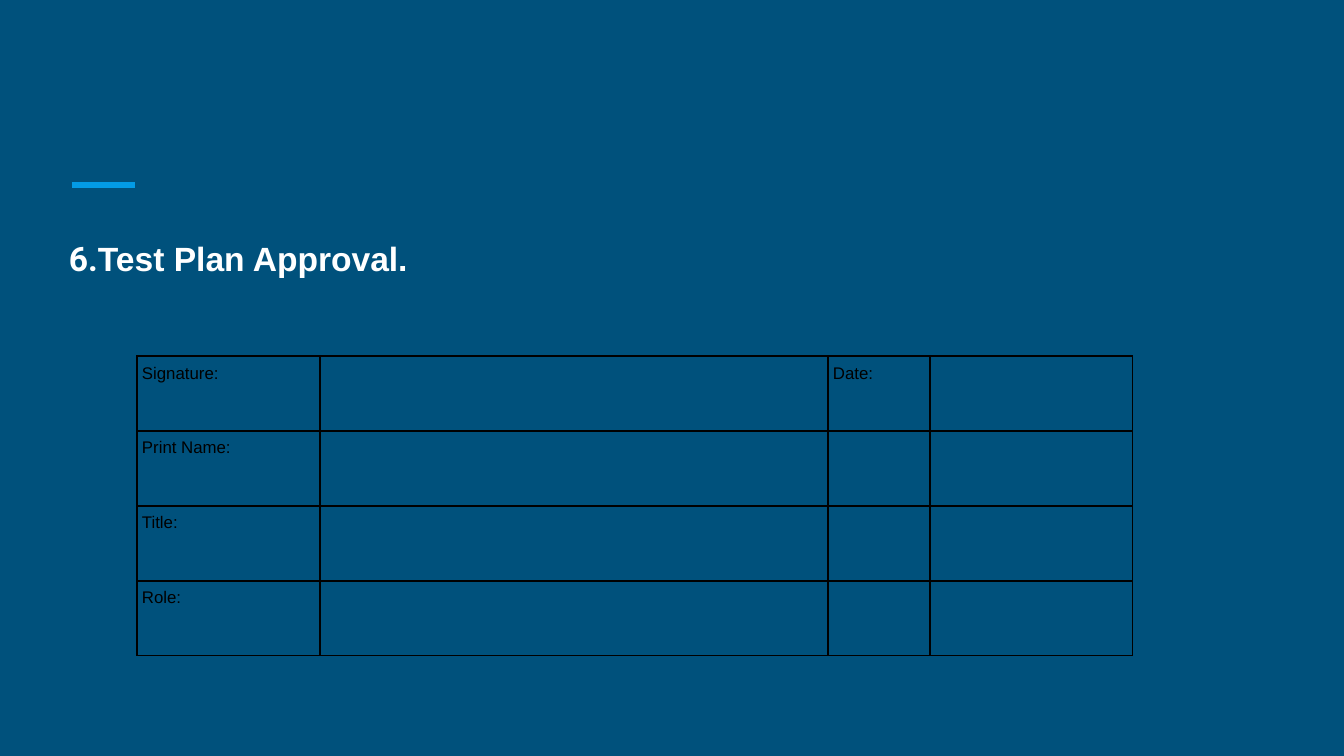
"""Build the test plan approval slide with its sign-off table."""
from lxml import etree
from pptx import Presentation
from pptx.dml.color import RGBColor
from pptx.enum.shapes import MSO_CONNECTOR
from pptx.enum.text import PP_ALIGN
from pptx.oxml.ns import qn
from pptx.util import Emu, Pt

STRAIGHT = MSO_CONNECTOR.STRAIGHT
LEFT, JUSTIFY = PP_ALIGN.LEFT, PP_ALIGN.JUSTIFY

COLORS = {"background": "00517C", "accent": "039BE5", "title": "FFFFFF", "ink": "000000"}
TITLE = [("6.", "Roboto"), ("Test Plan Approval.", "Arial")]
APPROVAL_ROWS = [
    ("Signature:", "", "Date:", ""),
    ("Print Name:", "", "", ""),
    ("Title:", "", "", ""),
    ("Role:", "", "", ""),
]
COLUMN_WIDTHS = (183, 508, 102, 203)
COLUMN_STYLES = {0: (JUSTIFY, 1), 2: (LEFT, 2)}
ROW_HEIGHT = 75
CELL_MARGIN = 5


def px(length):
    return Emu(round(length * 914400 / 134.4))


def rgb(name):
    return RGBColor.from_string(COLORS[name])


def style_run(run, font, size, color, bold=False):
    run.font.name = font
    run.font.size = Pt(size)
    run.font.bold = bold
    run.font.color.rgb = rgb(color)


def add_accent(slide):
    accent = slide.shapes.add_connector(STRAIGHT, px(72), px(185), px(135), px(185))
    accent.line.color.rgb = rgb("accent")
    accent.line.width = Pt(3)
    etree.SubElement(accent.line._get_or_add_ln().getparent(), qn("a:effectLst"))


def add_title(slide):
    frame = slide.shapes.add_textbox(px(56), px(219), px(1230), px(453)).text_frame
    frame.word_wrap = True
    frame.margin_left = frame.margin_right = px(13)
    frame.margin_top = frame.margin_bottom = px(13)
    heading = frame.paragraphs[0]
    heading.line_spacing = 1.15
    heading.space_after = Pt(16)
    for words, font in TITLE:
        run = heading.add_run()
        run.text = words
        style_run(run, font, 18, "title", bold=True)


def add_borders(cell):
    properties = cell._tc.get_or_add_tcPr()
    for position, side in enumerate(("a:lnL", "a:lnR", "a:lnT", "a:lnB")):
        border = etree.Element(qn(side), w=str(Pt(0.75)))
        fill = etree.SubElement(border, qn("a:solidFill"))
        etree.SubElement(fill, qn("a:srgbClr"), val=COLORS["ink"])
        properties.insert(position, border)


def fill_cell(cell, label, column):
    cell.fill.background()
    cell.margin_left = cell.margin_right = px(CELL_MARGIN)
    cell.margin_top = cell.margin_bottom = px(CELL_MARGIN)
    add_borders(cell)
    if label:
        cell.text_frame.text = label
        paragraph = cell.text_frame.paragraphs[0]
        paragraph.alignment, space_after = COLUMN_STYLES[column]
        paragraph.space_after = Pt(space_after)
        paragraph.line_spacing = 1.15
        style_run(paragraph.runs[0], "Arial", 9, "ink")


def add_approval_table(slide):
    row_count = len(APPROVAL_ROWS)
    approval = slide.shapes.add_table(
        row_count, len(COLUMN_WIDTHS), px(137), px(356),
        px(sum(COLUMN_WIDTHS)), px(row_count * ROW_HEIGHT)).table
    approval.first_row = approval.horz_banding = False
    for column, width in zip(approval.columns, COLUMN_WIDTHS):
        column.width = px(width)
    for row, labels in zip(approval.rows, APPROVAL_ROWS):
        row.height = px(ROW_HEIGHT)
        for column, label in enumerate(labels):
            fill_cell(row.cells[column], label, column)


def main():
    deck = Presentation()
    deck.slide_width, deck.slide_height = px(1344), px(756)
    slide = deck.slides.add_slide(deck.slide_layouts[6])
    slide.background.fill.solid()
    slide.background.fill.fore_color.rgb = rgb("background")
    add_accent(slide)
    add_title(slide)
    add_approval_table(slide)
    deck.save("out.pptx")


if __name__ == "__main__":
    main()
